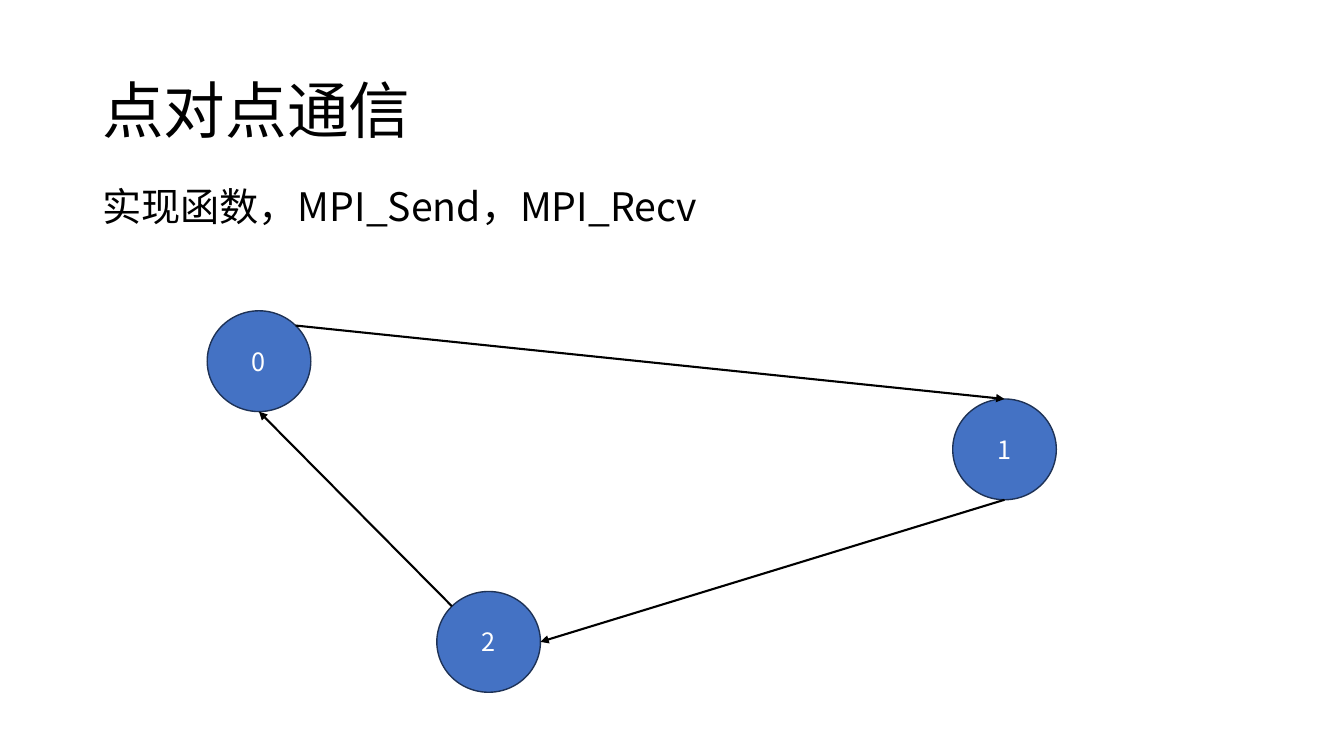
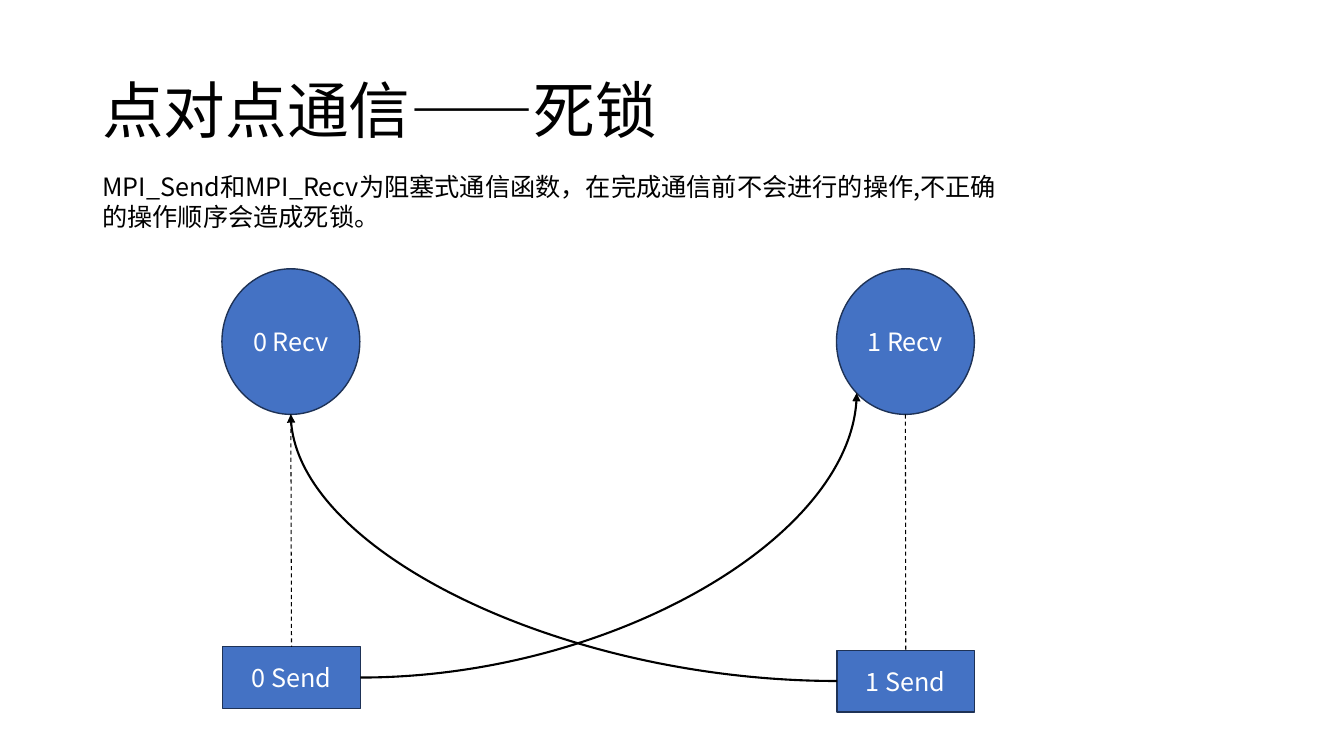
import pptx
import pptx.dml.color
import pptx.enum.dml
import pptx.enum.shapes
import pptx.enum.text
import pptx.oxml.ns
import pptx.util
from lxml import etree

Pt = pptx.util.Pt
Shape = pptx.enum.shapes.MSO_SHAPE
Route = pptx.enum.shapes.MSO_CONNECTOR
Align = pptx.enum.text.PP_ALIGN
Anchor = pptx.enum.text.MSO_ANCHOR
qn = pptx.oxml.ns.qn


class Theme:
    font = "Noto Sans CJK SC"
    ink = pptx.dml.color.RGBColor.from_string("000000")
    node_fill = pptx.dml.color.RGBColor.from_string("4472C4")
    node_edge = pptx.dml.color.RGBColor.from_string("1E3256")
    node_ink = pptx.dml.color.RGBColor.from_string("FFFFFF")
    title_size, lead_size, text_size = 44, 28, 18
    edge_width, arrow_width, dash_width = 1, 1.5, 0.75


# Connection sites as fractions of a shape's width and height
DIAGONAL = 0.5 ** 1.5
TOP, BOTTOM, LEFT, RIGHT = (0.5, 0), (0.5, 1), (0, 0.5), (1, 0.5)
TOP_LEFT = (0.5 - DIAGONAL, 0.5 - DIAGONAL)
TOP_RIGHT = (0.5 + DIAGONAL, 0.5 - DIAGONAL)
BOTTOM_LEFT = (0.5 - DIAGONAL, 0.5 + DIAGONAL)

TITLE_AREA = (66, 29, 828, 104)

PAGES = [
    dict(
        title="点对点通信",
        text="实现函数，MPI_Send，MPI_Recv",
        text_area=(66, 133, 828, 36),
        text_size=Theme.lead_size,
        text_spacing=0.8,
        space_before=10,
        nodes={
            "0": (Shape.OVAL, 148, 222, 74, 72),
            "1": (Shape.OVAL, 680.5, 285, 74, 72),
            "2": (Shape.OVAL, 312, 422.5, 74, 72),
        },
        links=[
            ("0", TOP_RIGHT, "1", TOP, "straight"),
            ("1", BOTTOM, "2", RIGHT, "straight"),
            ("2", TOP_LEFT, "0", BOTTOM, "straight"),
        ],
    ),
    dict(
        title="点对点通信——死锁",
        text="MPI_Send和MPI_Recv为阻塞式通信函数，在完成通信前不会进行的操作,"
             "不正确的操作顺序会造成死锁。",
        text_area=(66, 119, 657, 51),
        text_size=Theme.text_size,
        text_spacing=1,
        space_before=0,
        nodes={
            "0 Recv": (Shape.OVAL, 158.5, 192, 98.5, 104),
            "1 Recv": (Shape.OVAL, 597.5, 192, 98.5, 104),
            "0 Send": (Shape.RECTANGLE, 159, 462, 98.5, 44),
            "1 Send": (Shape.RECTANGLE, 598, 464.5, 98, 44),
        },
        links=[
            ("0 Send", RIGHT, "1 Recv", BOTTOM_LEFT, "curve"),
            ("1 Send", LEFT, "0 Recv", BOTTOM, "curve"),
            ("0 Recv", BOTTOM, "0 Send", TOP, "dash"),
            ("1 Recv", BOTTOM, "1 Send", TOP, "dash"),
        ],
    ),
]


def write(box, text, size, color, anchor, align=Align.LEFT, spacing=1):
    """Fill a box with one styled paragraph and return that paragraph."""
    frame = box.text_frame
    frame.word_wrap = True
    frame.vertical_anchor = anchor
    frame.text = text
    para = frame.paragraphs[0]
    para.alignment = align
    para.line_spacing = spacing
    span = para.runs[0]
    span.font.size = Pt(size)
    span.font.name = Theme.font
    span.font.color.rgb = color
    east_asian = etree.SubElement(span.font._element, qn("a:ea"))
    east_asian.set("typeface", Theme.font)
    return para


def link(page, start, start_site, end, end_site, style):
    """Join two nodes with a straight arrow, a curved arrow or a dashed line."""
    ends = []
    for node, (across, down) in ((start, start_site), (end, end_site)):
        ends += [int(node.left + across * node.width),
                 int(node.top + down * node.height)]
    route = Route.CURVE if style == "curve" else Route.STRAIGHT
    connector = page.shapes.add_connector(route, *ends)
    properties = connector._element.spPr
    if style == "curve":
        properties.find(qn("a:prstGeom")).set("prst", "curvedConnector2")
    line = connector.line
    line.color.rgb = Theme.ink
    if style == "dash":
        line.width = Pt(Theme.dash_width)
        line.dash_style = pptx.enum.dml.MSO_LINE.DASH
    else:
        line.width = Pt(Theme.arrow_width)
        etree.SubElement(line._get_or_add_ln(), qn("a:tailEnd")).set("type", "triangle")
    etree.SubElement(properties, qn("a:effectLst"))


deck = pptx.Presentation()
deck.slide_width, deck.slide_height = Pt(960), Pt(540)

for content in PAGES:
    page = deck.slides.add_slide(deck.slide_layouts[6])

    title_box = page.shapes.add_textbox(*map(Pt, TITLE_AREA))
    write(title_box, content["title"], Theme.title_size, Theme.ink,
          Anchor.MIDDLE, spacing=0.9)

    text_box = page.shapes.add_textbox(*map(Pt, content["text_area"]))
    para = write(text_box, content["text"], content["text_size"], Theme.ink,
                 Anchor.TOP, spacing=content["text_spacing"])
    para.space_before = Pt(content["space_before"])

    nodes = {}
    for label, (outline, *area) in content["nodes"].items():
        node = page.shapes.add_shape(outline, *map(Pt, area))
        node.shadow.inherit = False
        node.fill.solid()
        node.fill.fore_color.rgb = Theme.node_fill
        node.line.color.rgb = Theme.node_edge
        node.line.width = Pt(Theme.edge_width)
        write(node, label, Theme.text_size, Theme.node_ink, Anchor.MIDDLE, Align.CENTER)
        nodes[label] = node

    for start, start_site, end, end_site, style in content["links"]:
        link(page, nodes[start], start_site, nodes[end], end_site, style)

deck.save("out.pptx")
